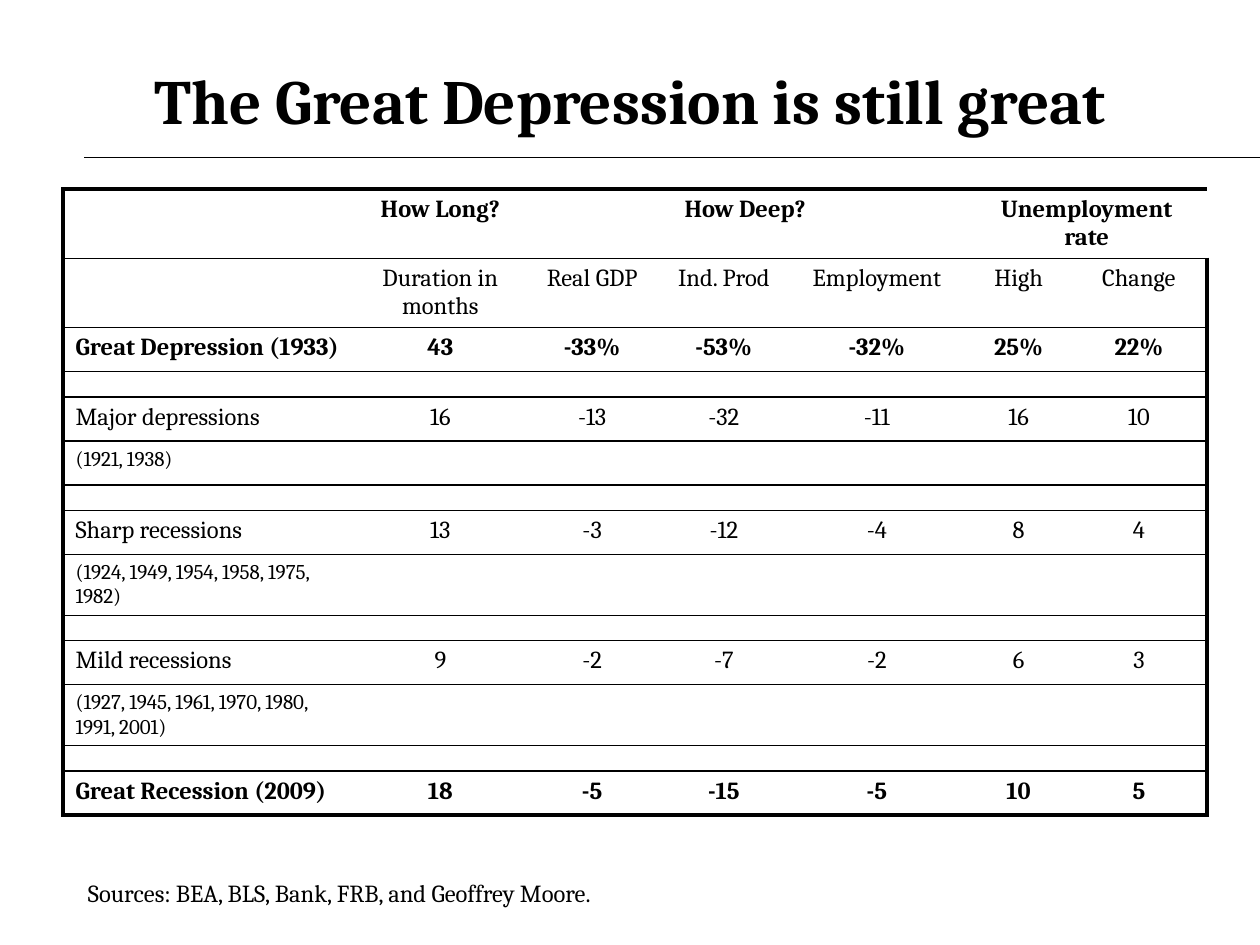
from lxml import etree
from pptx import Presentation
from pptx.dml.color import RGBColor
from pptx.enum.shapes import MSO_CONNECTOR
from pptx.enum.text import MSO_ANCHOR, MSO_AUTO_SIZE, PP_ALIGN
from pptx.oxml.ns import qn
from pptx.util import Inches, Pt

LEFT, CENTER = PP_ALIGN.LEFT, PP_ALIGN.CENTER
TOP, MIDDLE = MSO_ANCHOR.TOP, MSO_ANCHOR.MIDDLE
STRAIGHT = MSO_CONNECTOR.STRAIGHT
BLACK = RGBColor(0x00, 0x00, 0x00)
WHITE = RGBColor(0xFF, 0xFF, 0xFF)
FONT = "Cambria"
OUTER, INNER = 2.25, 1


def write(tf, text, size=14, bold=False, align=LEFT):
    p = tf.paragraphs[0]
    p.alignment = align
    r = p.add_run()
    r.text = text
    r.font.name = FONT
    r.font.size = Pt(size)
    r.font.bold = bold
    r.font.color.rgb = BLACK


def set_borders(cell, **widths):
    """Set the left, right, top and bottom lines; a width of 0 means no line."""
    tcPr = cell._tc.get_or_add_tcPr()
    for i, side in enumerate(("L", "R", "T", "B")):
        width = widths[side]
        ln = etree.Element(qn("a:ln" + side), w=str(Pt(width)))
        if width:
            fill = etree.SubElement(ln, qn("a:solidFill"))
            etree.SubElement(fill, qn("a:srgbClr"), val=str(BLACK))
        else:
            etree.SubElement(ln, qn("a:noFill"))
        tcPr.insert(i, ln)


prs = Presentation()
prs.slide_width, prs.slide_height = Inches(10), Inches(7.5)
s = prs.slides.add_slide(prs.slide_layouts[5])

# Rule under the title
rule = s.shapes.add_connector(STRAIGHT, Inches(0.67), Inches(1.25), Inches(10), Inches(1.25))
rule.line.color.rgb = BLACK
rule.line.width = Pt(0.75)
etree.SubElement(rule._element.spPr, qn("a:effectLst"))

# Title
title = s.shapes.title
title.left, title.top, title.width, title.height = Inches(0.5), Inches(0.33), Inches(9), Inches(0.92)
title.text_frame.vertical_anchor = MIDDLE
write(title.text_frame, "The Great Depression is still great", size=36, bold=True, align=CENTER)

# Table contents: an empty list is a spacer row
rows = [
    ["", "How Long?", "How Deep?", "", "", "Unemployment rate", ""],
    ["", "Duration in months", "Real GDP", "Ind. Prod", "Employment", "High", "Change"],
    ["Great Depression (1933)", "43", "-33%", "-53%", "-32%", "25%", "22%"],
    [],
    ["Major depressions", "16", "-13", "-32", "-11", "16", "10"],
    ["(1921, 1938)"],
    [],
    ["Sharp recessions", "13", "-3", "-12", "-4", "8", "4"],
    ["(1924, 1949, 1954, 1958, 1975, 1982)"],
    [],
    ["Mild recessions", "9", "-2", "-7", "-2", "6", "3"],
    ["(1927, 1945, 1961, 1970, 1980, 1991, 2001)"],
    [],
    ["Great Recession (2009)", "18", "-5", "-15", "-5", "10", "5"],
]
bold_rows = (0, 2, 13)
col_widths = [2.33, 1.33, 1.08, 1.01, 1.42, 0.83, 1.08]
# Rows whose text wraps onto a second line are taller
row_heights = [0.55, 0.55, 0.35, 0.2, 0.35, 0.35, 0.2, 0.35, 0.48, 0.2, 0.35, 0.48, 0.2, 0.35]

# Table
last_row, last_col = len(rows) - 1, len(col_widths) - 1
table = s.shapes.add_table(len(rows), len(col_widths), Inches(0.5), Inches(1.5),
                           Inches(sum(col_widths)), Inches(sum(row_heights))).table
table.first_row = table.horz_banding = False
for col, width in zip(table.columns, col_widths):
    col.width = Inches(width)
for row, height in zip(table.rows, row_heights):
    row.height = Inches(height)

table.cell(0, 2).merge(table.cell(0, 4))
table.cell(0, 5).merge(table.cell(0, 6))

for i, values in enumerate(rows):
    for j in range(last_col + 1):
        cell = table.cell(i, j)
        cell.vertical_anchor = TOP
        cell.fill.solid()
        cell.fill.fore_color.rgb = WHITE
        set_borders(cell, L=0 if j else OUTER, R=OUTER if j == last_col else 0,
                    T=INNER if i else OUTER, B=OUTER if i == last_row else INNER)
        text = values[j] if j < len(values) else ""
        if text:
            write(cell.text_frame, text, size=12 if len(values) == 1 else 14,
                  bold=i in bold_rows, align=CENTER if j else LEFT)
        else:
            # Small type keeps the spacer rows low
            end = etree.SubElement(cell.text_frame.paragraphs[0]._p, qn("a:endParaRPr"))
            end.set("sz", "500")

# Sources
box = s.shapes.add_textbox(Inches(0.6), Inches(6.92), Inches(4.54), Inches(0.33))
box.text_frame.word_wrap = False
box.text_frame.auto_size = MSO_AUTO_SIZE.SHAPE_TO_FIT_TEXT
write(box.text_frame, "Sources: BEA, BLS, Bank, FRB, and Geoffrey Moore.")

prs.save("out.pptx")
